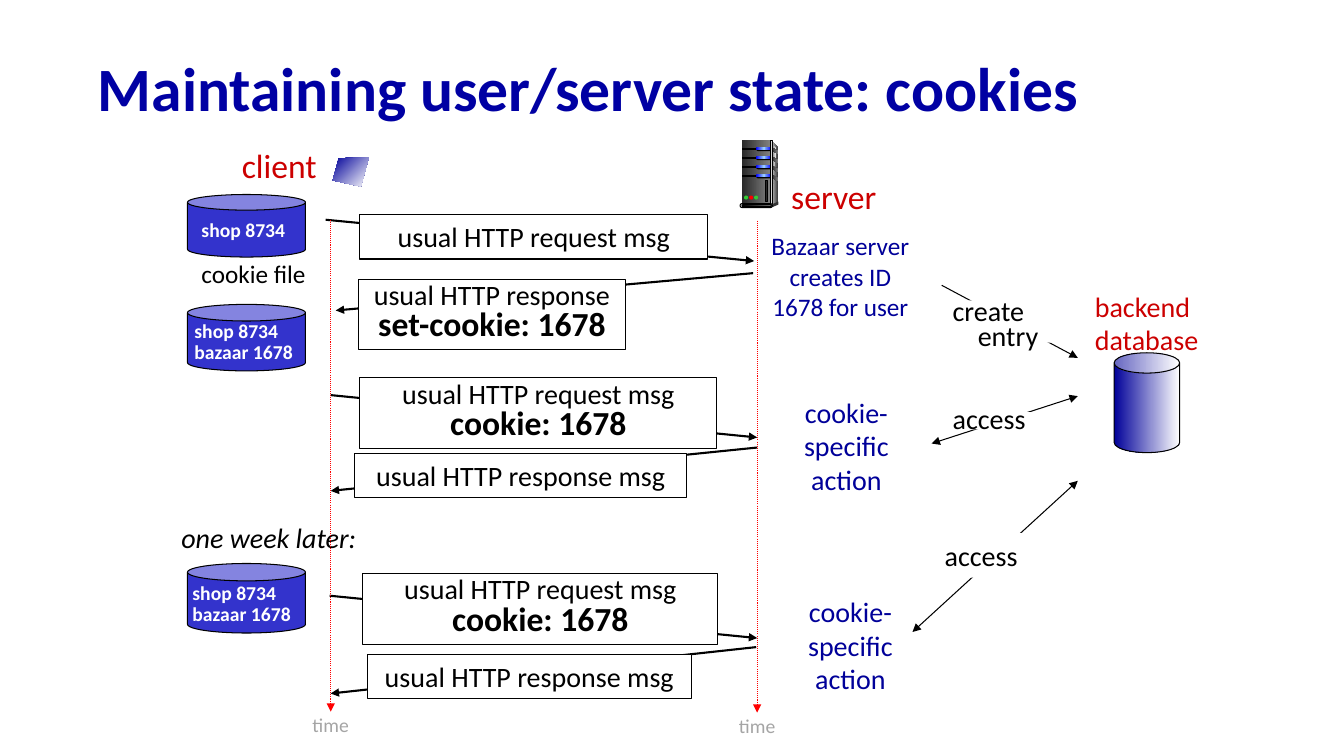
from copy import deepcopy

from lxml.etree import SubElement
from pptx import Presentation
from pptx.dml.color import RGBColor
from pptx.enum.dml import MSO_LINE
from pptx.enum.shapes import MSO_CONNECTOR, MSO_SHAPE
from pptx.enum.text import MSO_ANCHOR, MSO_AUTO_SIZE, PP_ALIGN
from pptx.oxml.ns import qn
from pptx.util import Inches, Pt

TITLE_BLUE = RGBColor(0x00, 0x00, 0xA3)
NAVY = RGBColor(0x00, 0x00, 0x99)
CAN_BLUE = RGBColor(0x33, 0x33, 0xCC)
LABEL_RED = RGBColor(0xCC, 0x00, 0x00)
BLACK = RGBColor(0x00, 0x00, 0x00)
WHITE = RGBColor(0xFF, 0xFF, 0xFF)
TIME_GRAY = RGBColor(0xA5, 0xA5, 0xA5)
RED = RGBColor(0xFF, 0x00, 0x00)
GREEN = RGBColor(0x33, 0xCC, 0x33)
BLUE = RGBColor(0x00, 0x00, 0xFF)
LIGHT_BLUE = RGBColor(0x99, 0xCC, 0xFF)
COAL = RGBColor(0x29, 0x29, 0x29)
DARK_GRAY = RGBColor(0x33, 0x33, 0x33)
MID_GRAY = RGBColor(0x80, 0x80, 0x80)
LIGHT_GRAY = RGBColor(0xDD, 0xDD, 0xDD)
PALE_GRAY = RGBColor(0xF8, 0xF8, 0xF8)

CENTER = PP_ALIGN.CENTER
LEFT = PP_ALIGN.LEFT
CELL = Inches(0.1)  # one column and one row of the grid


def cells(*counts):
    return [round(count * CELL) for count in counts]


class Diagram:
    """Holds the style and the current slide; lengths are in grid cells."""

    font = "Calibri"

    def __init__(self, slide):
        self.slide = slide

    def set_text(self, shape, lines, size=20, color=BLACK, align=LEFT, spacing=1.0,
                 bold=False, italic=False, strong=None):
        frame = shape.text_frame
        frame.word_wrap = True
        for index, text in enumerate(lines + ([strong] if strong else [])):
            paragraph = frame.paragraphs[0] if index == 0 else frame.add_paragraph()
            paragraph.alignment = align
            paragraph.line_spacing = spacing
            run = paragraph.add_run()
            run.text = text
            run.font.name = self.font
            run.font.size = Pt(24 if text == strong else size)
            run.font.bold = bold or text == strong
            run.font.italic = italic
            run.font.color.rgb = color
        return frame

    def title(self, text, *area):
        title = self.slide.shapes.title
        title.left, title.top, title.width, title.height = cells(*area)
        frame = self.set_text(title, [text], 44, TITLE_BLUE, spacing=0.9, bold=True)
        frame.vertical_anchor = MSO_ANCHOR.MIDDLE

    def label(self, lines, *area, **style):
        text_box = self.slide.shapes.add_textbox(*cells(*area))
        frame = self.set_text(text_box, lines, **style)
        frame.auto_size = MSO_AUTO_SIZE.SHAPE_TO_FIT_TEXT
        return frame

    def paint(self, shape, fill, outlined, angle=0):
        """Fill with one colour, or with a tuple of evenly spread gradient colours."""
        shape.shadow.inherit = False
        if isinstance(fill, tuple) and not isinstance(fill, RGBColor):
            shape.fill.gradient()
            shape.fill.gradient_angle = -angle % 360
            stop_list = next(shape._element.iter(qn("a:gsLst")))
            while len(stop_list) < len(fill):
                stop_list.append(deepcopy(stop_list[-1]))
            for index, stop in enumerate(shape.fill.gradient_stops):
                stop.color.rgb = fill[index]
                stop.position = index / (len(fill) - 1)
        else:
            shape.fill.solid()
            shape.fill.fore_color.rgb = fill
        if outlined:
            shape.line.color.rgb = BLACK
            shape.line.width = Pt(0.75)
        else:
            shape.line.fill.background()

    def shape(self, kind, *area, fill=WHITE, outlined=False, adjustment=None):
        shape = self.slide.shapes.add_shape(kind, *cells(*area))
        self.paint(shape, fill, outlined)
        if adjustment is not None:
            shape.adjustments[0] = adjustment
        return shape

    def box(self, lines, *area, outlined=True, **style):
        box = self.shape(MSO_SHAPE.RECTANGLE, *area, outlined=outlined)
        frame = self.set_text(box, lines, **style)
        frame.vertical_anchor = MSO_ANCHOR.TOP
        frame.auto_size = MSO_AUTO_SIZE.SHAPE_TO_FIT_TEXT

    def polygon(self, points, fill, angle=0):
        start, *others = [tuple(cells(*point)) for point in points]
        builder = self.slide.shapes.build_freeform(*start)
        builder.add_line_segments(others, close=True)
        self.paint(builder.convert_to_shape(), fill, False, angle)

    def arrow(self, *ends, width=1.5, color=BLACK, dash=None, both=False):
        connector = self.slide.shapes.add_connector(MSO_CONNECTOR.STRAIGHT, *cells(*ends))
        connector.line.color.rgb = color
        connector.line.width = Pt(width)
        if dash:
            connector.line.dash_style = dash
        properties = connector._element.spPr
        line = properties.find(qn("a:ln"))
        for tag in ("a:headEnd", "a:tailEnd") if both else ("a:tailEnd",):
            SubElement(line, qn(tag)).set("type", "triangle")
        SubElement(properties, qn("a:effectLst"))

    def cookie_file(self, lines, can_top, can_height, *text_area, spacing=1.0):
        self.shape(MSO_SHAPE.CAN, 18.6, can_top, 11.7, can_height, fill=CAN_BLUE,
                   outlined=True, adjustment=0.25)
        self.label(lines, *text_area, size=14, color=WHITE, bold=True, spacing=spacing)

    def server_tower(self):
        # Case: side, front and side highlight
        self.polygon([(76.5, 13.9), (77.2, 14.7), (77.2, 20), (76.4, 20.3)],
                     (LIGHT_GRAY, DARK_GRAY))
        self.shape(MSO_SHAPE.RECTANGLE, 73.6, 13.9, 2.8, 6.4, fill=(COAL, MID_GRAY))
        self.polygon([(76.6, 14.3), (77, 14.8), (76.7, 17.5), (76.6, 20.1)],
                     (MID_GRAY, PALE_GRAY))
        # Drive bays
        for bay in range(4):
            top = 14.7 + 0.9 * bay
            self.shape(MSO_SHAPE.RECTANGLE, 73.6, top, 1.6, 0.1, fill=BLACK, outlined=True)
            for width, height, fill in ((1.6, 0.4, BLACK),
                                        (1.5, 0.3, (BLUE, LIGHT_BLUE, BLUE))):
                self.shape(MSO_SHAPE.ROUNDED_RECTANGLE, 75, top - 0.1, width, height,
                           fill=fill, adjustment=0.5)
            self.polygon([(76.5, top - 0.1), (77.2, top + 0.3), (77.2, top + 0.6),
                          (76.5, top + 0.2)], (COAL, MID_GRAY))
        # Edge and base
        self.shape(MSO_SHAPE.RECTANGLE, 76.4, 13.9, 0.2, 6.4,
                   fill=(DARK_GRAY, LIGHT_GRAY, DARK_GRAY), outlined=True)
        self.polygon([(76.5, 20.3), (76.5, 20.6), (77.2, 20.3), (77.2, 20)], DARK_GRAY)
        for area, fill in (((73.4, 20.2, 3.2, 0.4), LIGHT_GRAY),
                           ((73.6, 20.3, 2.9, 0.2), (BLACK, MID_GRAY))):
            self.shape(MSO_SHAPE.ROUNDED_RECTANGLE, *area, fill=fill, outlined=True,
                       adjustment=0.5)
        # Lights and vent
        for index, color in enumerate((GREEN, RED, GREEN)):
            self.shape(MSO_SHAPE.OVAL, 73.8 + 0.5 * index, 19.4, 0.4, 0.4, fill=color)
        self.shape(MSO_SHAPE.RECTANGLE, 75.9, 17.9, 0.2, 2.1, fill=COAL, outlined=True)


def main():
    presentation = Presentation()
    presentation.slide_width = Inches(13.33)
    presentation.slide_height = Inches(7.5)
    slide = presentation.slides.add_slide(presentation.slide_layouts[5])
    diagram = Diagram(slide)
    diagram.title("Maintaining user/server state: cookies", 8.7, 4.2, 115, 9.8)

    # Column headings
    diagram.label(["client"], 22.9, 13.9, 9.6, 5, size=24, color=LABEL_RED, align=CENTER)
    diagram.label(["server"], 77.4, 17, 10.6, 5, size=24, color=LABEL_RED, align=CENTER)

    # Messages: arrow ends, box area, first line, emphasised line
    request, response = "usual HTTP request msg", "usual HTTP response msg"
    messages = [
        ((75.1, 44.4, 32.8, 48.7), (35.2, 45, 32.9, 4.4), response, None),
        ((75, 64.2, 32.8, 68.8), (36.4, 64.9, 32.2, 4.4), response, None),
        ((32.8, 39.2, 75.1, 43.4), (35.7, 37.5, 35.4, 7), request, "cookie: 1678"),
        ((32.3, 21.8, 74.8, 25.9), (35.7, 21.3, 34.5, 4.4), request, None),
        ((74.7, 27.1, 33.3, 30.8), (35.6, 27.7, 26.4, 7), "usual HTTP response",
         "set-cookie: 1678"),
        ((32.7, 59.1, 75.1, 63.3), (36, 56.9, 35.2, 7), request, "cookie: 1678"),
    ]
    for ends, area, text, strong in messages:
        diagram.arrow(*ends)
        diagram.box([text], *area, align=CENTER, strong=strong,
                    spacing=0.8 if strong else 1.0)

    # Cookie files on the client
    both_cookies = ["shop 8734", "bazaar 1678"]
    diagram.cookie_file(both_cookies[:1], 19.3, 6.2, 19, 21.1, 11, 3.4)
    diagram.cookie_file(both_cookies, 30.2, 6.6, 18.3, 31.4, 15.9, 5.3, spacing=0.9)
    diagram.cookie_file(both_cookies, 55.9, 6.9, 18.1, 57.4, 15.2, 5.2, spacing=0.9)
    diagram.label(["cookie file"], 19, 25.1, 19.5, 4, size=18)
    diagram.label(["one week later:"], 17, 51.1, 19.8, 4.4, italic=True)

    # Server actions
    diagram.label(["Bazaar server", "creates ID", "1678 for user"], 74.7, 22.4, 17.3, 10.1,
                  size=18, color=NAVY, align=CENTER)
    for left, top in ((77.6, 38.7), (78, 58.5)):
        diagram.label(["cookie-", "specific", "action"], left, top, 12.7, 11.1,
                      color=NAVY, align=CENTER)

    # Links to the backend database
    diagram.arrow(93.4, 28.3, 106.9, 35.5, width=0.75)
    diagram.shape(MSO_SHAPE.RECTANGLE, 95.3, 29.8, 12.3, 4.2)
    entry = diagram.label(["create", "entry"], 93.5, 29.4, 15, 6.2, spacing=0.75)
    entry.paragraphs[1]._p.get_or_add_pPr().set("marL", str(Inches(0.25)))
    diagram.arrow(92.4, 44, 106.9, 39.3, width=0.75, both=True)
    diagram.shape(MSO_SHAPE.RECTANGLE, 95.7, 40.9, 8.1, 1.7)
    diagram.label(["access"], 93.5, 39.3, 11.3, 4.4)
    diagram.arrow(90.5, 62.7, 106.9, 47.7, width=0.75, both=True)
    diagram.box(["access"], 92.7, 52.9, 11.2, 4.4, outlined=False)
    diagram.label(["backend", "database"], 107.6, 28.2, 12.5, 7.7, color=LABEL_RED)
    diagram.shape(MSO_SHAPE.CAN, 110.5, 35, 6.5, 9.9, fill=(NAVY, WHITE), outlined=True,
                  adjustment=0.31)

    # Server tower and client screen
    diagram.server_tower()
    diagram.polygon([(36.6, 15.6), (33.6, 15.7), (33, 17.9), (35.8, 18.5)],
                    (NAVY, WHITE), angle=45)

    # Time axes
    for axis, top in ((32.8, 21.8), (75.1, 21.9)):
        bottom = top + 48.8
        diagram.arrow(axis, top, axis, bottom, width=0.75, color=RED,
                      dash=MSO_LINE.ROUND_DOT)
        diagram.label(["time"], axis - 3, bottom, 6, 3, size=14, color=TIME_GRAY,
                      align=CENTER, spacing=0.85)

    presentation.save("out.pptx")


if __name__ == "__main__":
    main()
